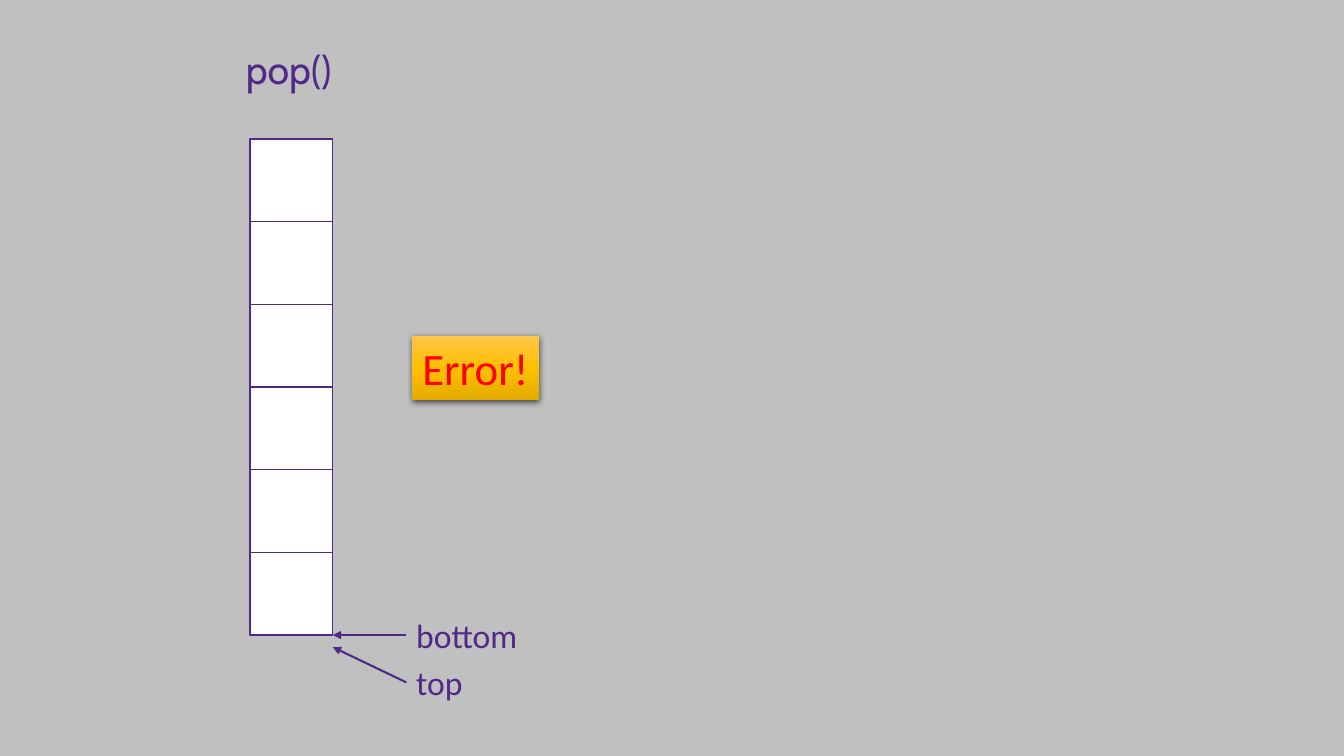
from lxml import etree
from pptx import Presentation
from pptx.enum import shapes, text
from pptx.dml.color import RGBColor
from pptx.oxml import parse_xml
from pptx.oxml.ns import nsdecls, qn
from pptx.util import Inches, Pt

COLORS = {
    "background": "C0C0C0",
    "cell": "FFFFFF",
    "purple": "512888",
    "red": "FF0000",
    "gold_light": "FFC64B",
    "gold": "FFC000",
    "gold_dark": "E3AB00",
    "shadow": "000000",
}


def color(name):
    return RGBColor.from_string(COLORS[name])


def write(shape, words, size, font_name, color_name):
    """Put one unwrapped line of text in the shape, which fits itself to it."""
    frame = shape.text_frame
    frame.text = words
    frame.word_wrap = False
    frame.auto_size = text.MSO_AUTO_SIZE.SHAPE_TO_FIT_TEXT
    frame.vertical_anchor = text.MSO_ANCHOR.TOP
    paragraph = frame.paragraphs[0]
    paragraph.alignment = text.PP_ALIGN.LEFT
    font = paragraph.runs[0].font
    font.size = Pt(size)
    font.name = font_name
    font.color.rgb = color(color_name)


presentation = Presentation()
presentation.slide_width = Inches(13.33)
presentation.slide_height = Inches(7.5)
slide = presentation.slides.add_slide(presentation.slide_layouts[6])
slide.background.fill.solid()
slide.background.fill.fore_color.rgb = color("background")

# Empty stack
stack_left, stack_top, cell_size = 2.48, 1.38, 0.82
for row in range(6):
    cell = slide.shapes.add_shape(
        shapes.MSO_SHAPE.RECTANGLE, Inches(stack_left),
        Inches(stack_top + row * cell_size), Inches(cell_size), Inches(cell_size))
    cell.shadow.inherit = False
    cell.fill.solid()
    cell.fill.fore_color.rgb = color("cell")
    cell.line.color.rgb = color("purple")
    cell.line.width = Pt(1)

# Operation
operation = slide.shapes.add_textbox(Inches(2.34), Inches(0.4), Inches(1.09), Inches(0.57))
write(operation, "pop()", 28, "Cabin", "purple")

# Pointers: label, label top, label width, arrow tip height
stack_right = stack_left + cell_size
for name, top, width, tip in [("bottom", 6.05, 1.22, 6.3), ("top", 6.52, 0.66, 6.42)]:
    label = slide.shapes.add_textbox(Inches(4.03), Inches(top), Inches(width), Inches(0.5))
    write(label, name, 24, "Calibri", "purple")
    arrow = slide.shapes.add_connector(
        shapes.MSO_CONNECTOR.STRAIGHT, Inches(4.03), Inches(top + 0.25),
        Inches(stack_right), Inches(tip))
    arrow.begin_connect(label, 1)
    arrow.line.color.rgb = color("purple")
    arrow.line.width = Pt(1.5)
    etree.SubElement(arrow.line._get_or_add_ln(), qn("a:tailEnd"), type="triangle")
    etree.SubElement(arrow._element.spPr, qn("a:effectLst"))

# Error message
error = slide.shapes.add_shape(
    shapes.MSO_SHAPE.RECTANGLE, Inches(4.09), Inches(3.33), Inches(1.26), Inches(0.64))
error.line.fill.background()
error.fill.gradient()
error.fill.gradient_angle = 270
stops = error._element.spPr.find(qn("a:gradFill")).find(qn("a:gsLst"))
for stop in list(stops):
    stops.remove(stop)
for percent, name in [(0, "gold_light"), (50, "gold"), (100, "gold_dark")]:
    stop = etree.SubElement(stops, qn("a:gs"), pos=str(percent * 1000))
    etree.SubElement(stop, qn("a:srgbClr"), val=COLORS[name])
error._element.spPr.append(parse_xml(
    f'<a:effectLst {nsdecls("a")}>'
    f'<a:outerShdw blurRad="{Pt(4.5)}" dist="{Pt(1.5)}" dir="5400000" algn="ctr" rotWithShape="0">'
    f'<a:srgbClr val="{COLORS["shadow"]}"><a:alpha val="63000"/></a:srgbClr>'
    '</a:outerShdw></a:effectLst>'))
write(error, "Error!", 32, "Calibri", "red")

presentation.save("out.pptx")
